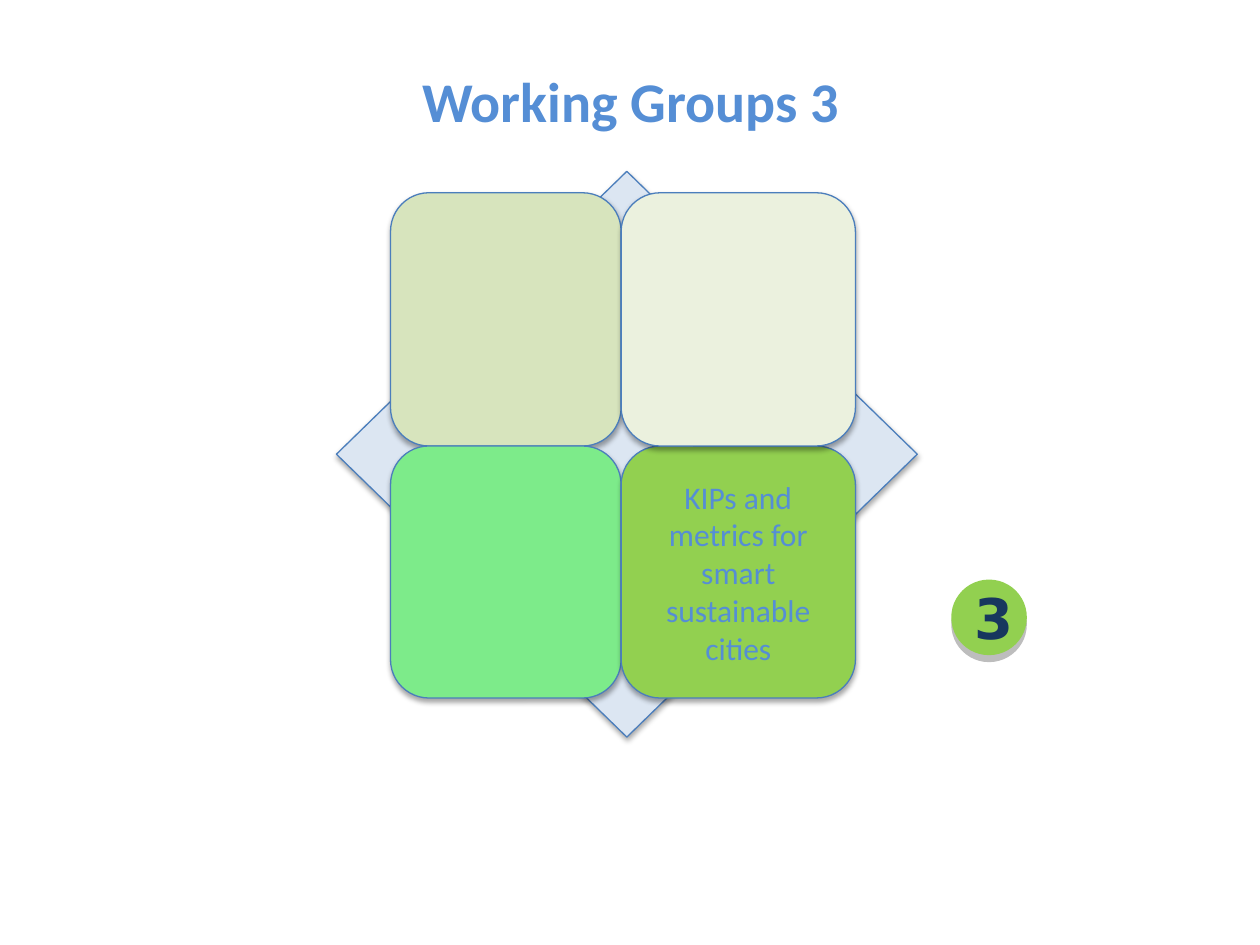
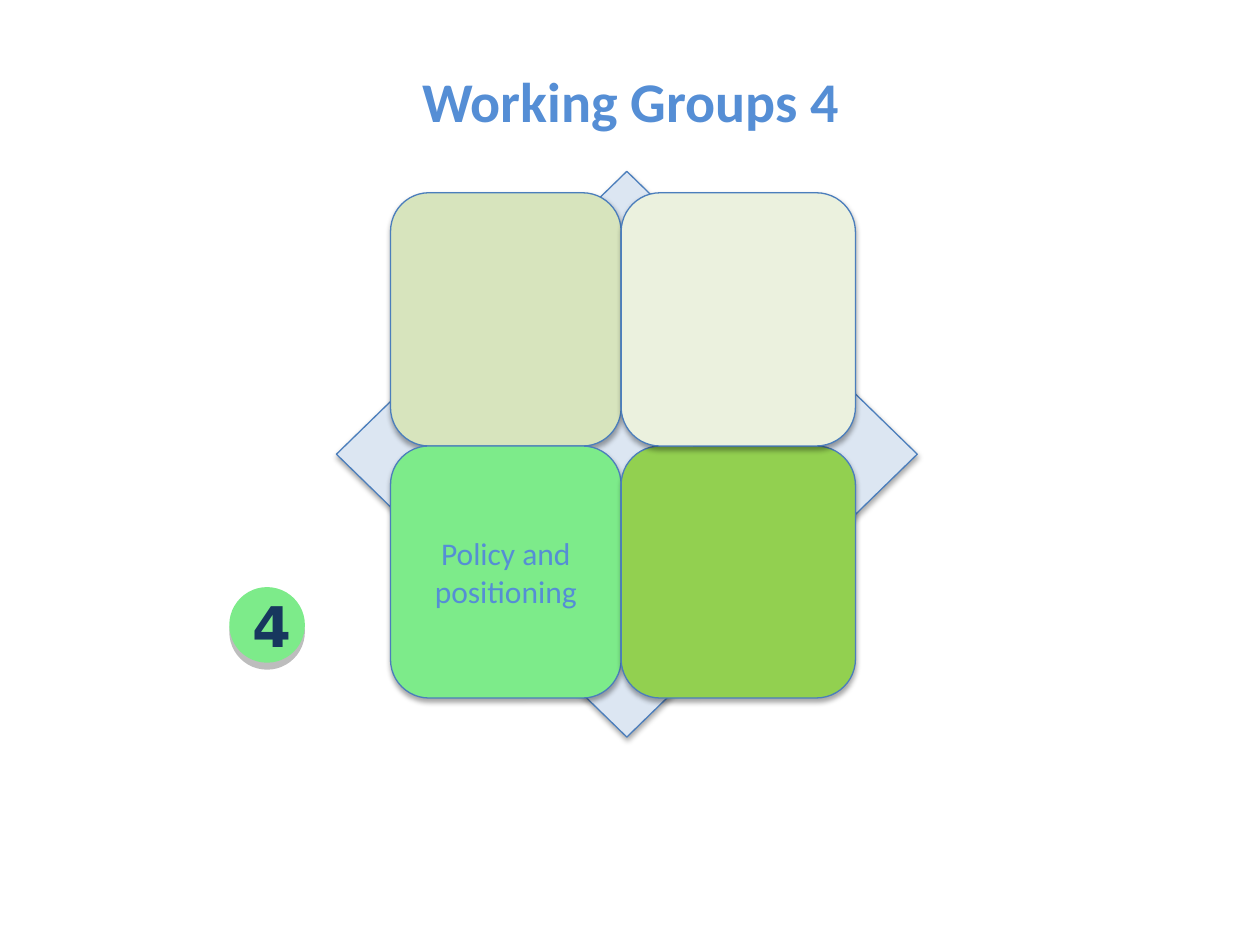
from lxml.etree import SubElement
from pptx import Presentation
from pptx.dml.color import RGBColor
from pptx.enum.shapes import MSO_SHAPE
from pptx.enum.text import MSO_ANCHOR, MSO_AUTO_SIZE, PP_ALIGN
from pptx.oxml.ns import qn
from pptx.util import Inches, Pt

# Shared colours and fonts
TEXT_BLUE, NUMBER_NAVY = "558ED5", "17375E"
OUTLINE, DIAMOND_FILL = "4B7EBC", "DCE6F2"
BODY_FONT, NUMBER_FONT = "Calibri", "DejaVu Sans"

# Shadows: opacity in percent, blur and distance in points
SOFT_SHADOW = (35, 3.1, 1.8)
HARD_SHADOW = (26, 0, 4)

# Tile grid: (left, width) per column, (top, height) per row
COLUMNS = [(3.1, 1.83), (4.93, 1.86)]
ROWS = [(1.53, 2.01), (3.54, 2)]
# (column, row) and fill of each tile, from back to front
TILES = {(0, 0): "D7E4BD", (0, 1): "7DEB8A", (1, 1): "92D050", (1, 0): "EBF1DE"}

# Number, badge position, highlighted tile, its text
GROUPS = [
    ("3", (7.55, 4.6), (1, 1), "KIPs and metrics for smart sustainable cities"),
    ("4", (1.82, 4.66), (0, 1), "Policy and positioning"),
]


def color(hex_string):
    return RGBColor.from_string(hex_string)


class Deck:
    def __init__(self):
        self.presentation = Presentation()
        self.presentation.slide_width = Inches(10)
        self.presentation.slide_height = Inches(7.5)
        self.slide = None

    def add_text(self, text_frame, text, size, font_color, font=BODY_FONT, bold=False):
        text_frame.word_wrap = True
        paragraph = text_frame.paragraphs[0]
        paragraph.alignment = PP_ALIGN.CENTER
        run = paragraph.add_run()
        run.text = text
        run.font.name = font
        run.font.size = Pt(size)
        run.font.bold = bold
        run.font.color.rgb = color(font_color)

    def add_slide(self, title):
        layout = self.presentation.slide_layouts[5]
        self.slide = self.presentation.slides.add_slide(layout)
        shape = self.slide.shapes.title
        shape.left, shape.top = Inches(0.36), Inches(0.48)
        shape.width, shape.height = Inches(9.29), Inches(0.64)
        shape.text_frame.vertical_anchor = MSO_ANCHOR.TOP
        shape.text_frame.auto_size = MSO_AUTO_SIZE.SHAPE_TO_FIT_TEXT
        self.add_text(shape.text_frame, title, 32, TEXT_BLUE, bold=True)

    def add_shadow(self, shape, opacity, blur, distance):
        shape.shadow.inherit = False
        effects = shape._element.spPr.find(qn("a:effectLst"))
        shadow = SubElement(effects, qn("a:outerShdw"), blurRad=str(Pt(blur)),
                            dist=str(Pt(distance)), dir="5400000", rotWithShape="0")
        black = SubElement(shadow, qn("a:srgbClr"), val="000000")
        SubElement(black, qn("a:alpha"), val=str(opacity * 1000))

    def add_shape(self, kind, left, top, width, height, fill,
                  outline=OUTLINE, shadow=SOFT_SHADOW):
        shape = self.slide.shapes.add_shape(
            kind, Inches(left), Inches(top), Inches(width), Inches(height))
        shape.fill.solid()
        shape.fill.fore_color.rgb = color(fill)
        if outline:
            shape.line.color.rgb = color(outline)
            shape.line.width = Pt(0.75)
        else:
            shape.line.fill.background()
        self.add_shadow(shape, *shadow)
        shape.text_frame.vertical_anchor = MSO_ANCHOR.MIDDLE
        return shape

    def add_badge(self, number, left, top, fill):
        badge = self.add_shape(MSO_SHAPE.OVAL, left, top, 0.6, 0.6, fill,
                               outline=None, shadow=HARD_SHADOW)
        self.add_text(badge.text_frame, number, 32, NUMBER_NAVY, NUMBER_FONT, bold=True)

    def add_matrix(self, active_cell, text):
        self.add_shape(MSO_SHAPE.DIAMOND, 2.67, 1.36, 4.61, 4.49, DIAMOND_FILL)
        for cell, fill in TILES.items():
            left, width = COLUMNS[cell[0]]
            top, height = ROWS[cell[1]]
            tile = self.add_shape(MSO_SHAPE.ROUNDED_RECTANGLE,
                                  left, top, width, height, fill)
            if cell == active_cell:
                self.add_text(tile.text_frame, text, 18, TEXT_BLUE)


def main():
    deck = Deck()
    # One slide per working group
    for number, badge_position, active_cell, text in GROUPS:
        deck.add_slide(f"Working Groups {number}")
        deck.add_badge(number, *badge_position, TILES[active_cell])
        deck.add_matrix(active_cell, text)
    deck.presentation.save("out.pptx")


if __name__ == "__main__":
    main()
